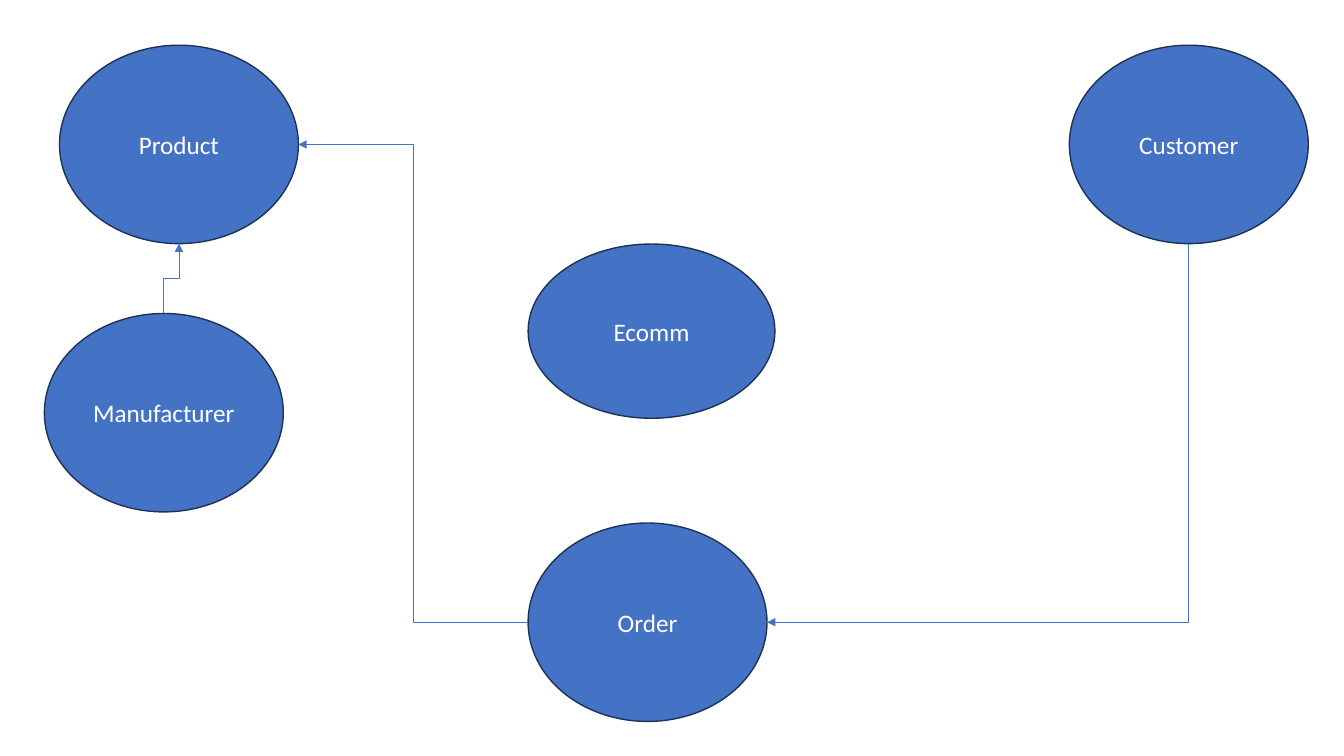
from pptx import Presentation
from pptx import util as u
from pptx.dml.color import RGBColor
from pptx.enum import shapes, text
from pptx.oxml import ns
from lxml import etree

BLUE = RGBColor(0x44, 0x72, 0xC4)
NAVY = RGBColor(0x1E, 0x32, 0x56)
WHITE = RGBColor(0xFF, 0xFF, 0xFF)

# Connection sites of an ellipse: index, and position as a share of its size
TOP, LEFT, BOTTOM, RIGHT = (0, 0.5, 0), (2, 0, 0.5), (4, 0.5, 1), (6, 1, 0.5)


class EntityMap:
    """Draws entities and their relations on one page."""

    font = "Calibri"
    size = u.Pt(18)

    def __init__(self, page):
        self.page = page

    def entity(self, name, left, top, width=6.02, height=5):
        oval = self.page.shapes.add_shape(
            shapes.MSO_SHAPE.OVAL, u.Cm(left), u.Cm(top), u.Cm(width), u.Cm(height))
        oval.shadow.inherit = False
        oval.fill.solid()
        oval.fill.fore_color.rgb = BLUE
        oval.line.color.rgb = NAVY
        oval.line.width = u.Pt(1)
        oval.text_frame.vertical_anchor = text.MSO_ANCHOR.MIDDLE
        para = oval.text_frame.paragraphs[0]
        para.alignment = text.PP_ALIGN.CENTER
        span = para.add_run()
        span.text = name
        span.font.name = self.font
        span.font.size = self.size
        span.font.color.rgb = WHITE
        return oval

    def relation(self, source, source_site, target, target_site, turn, preset="bentConnector3"):
        """Elbow arrow between two sites, its frame turned by 90 or 180 degrees."""
        x1, y1 = self.site_point(source, source_site)
        x2, y2 = self.site_point(target, target_site)
        dx, dy = x2 - x1, y2 - y1
        # Undo the turn to get the frame before rotation
        across, down = (dy, -dx) if turn == 90 else (-dx, -dy)
        left, top = (x1 + x2 - across) // 2, (y1 + y2 - down) // 2
        arrow = self.page.shapes.add_connector(
            shapes.MSO_CONNECTOR.ELBOW, left, top, left + across, top + down)
        arrow.line.color.rgb = BLUE
        arrow.line.width = u.Pt(0.5)

        # Rotation, arrowhead, no shadow
        properties = arrow._element.spPr
        properties.find(ns.qn("a:xfrm")).set("rot", str(turn * 60000))
        properties.find(ns.qn("a:prstGeom")).set("prst", preset)
        outline = properties.find(ns.qn("a:ln"))
        etree.SubElement(outline, ns.qn("a:tailEnd"), type="triangle")
        etree.SubElement(properties, ns.qn("a:effectLst"))

        # Join to the ellipses, which have eight sites
        joints = arrow._element.find(".//" + ns.qn("p:cNvCxnSpPr"))
        for tag, oval, site in (("a:stCxn", source, source_site),
                                ("a:endCxn", target, target_site)):
            etree.SubElement(joints, ns.qn(tag), id=str(oval.shape_id), idx=str(site[0]))

    @staticmethod
    def site_point(oval, site):
        _, x_share, y_share = site
        return (int(oval.left + oval.width * x_share),
                int(oval.top + oval.height * y_share))


def main():
    deck = Presentation()
    deck.slide_width, deck.slide_height = u.Cm(33.87), u.Cm(19.05)
    diagram = EntityMap(deck.slides.add_slide(deck.slide_layouts[6]))

    # Entities
    diagram.entity("Ecomm", 13.31, 6.15, 6.22, 4.39)
    product = diagram.entity("Product", 1.5, 1.14)
    customer = diagram.entity("Customer", 26.95, 1.14)
    order = diagram.entity("Order", 13.31, 13.18)
    manufacturer = diagram.entity("Manufacturer", 1.12, 7.9)

    # Relations
    diagram.relation(manufacturer, TOP, product, BOTTOM, 90)
    diagram.relation(customer, BOTTOM, order, RIGHT, 90, "bentConnector2")
    diagram.relation(order, LEFT, product, RIGHT, 180)

    deck.save("out.pptx")


if __name__ == "__main__":
    main()
